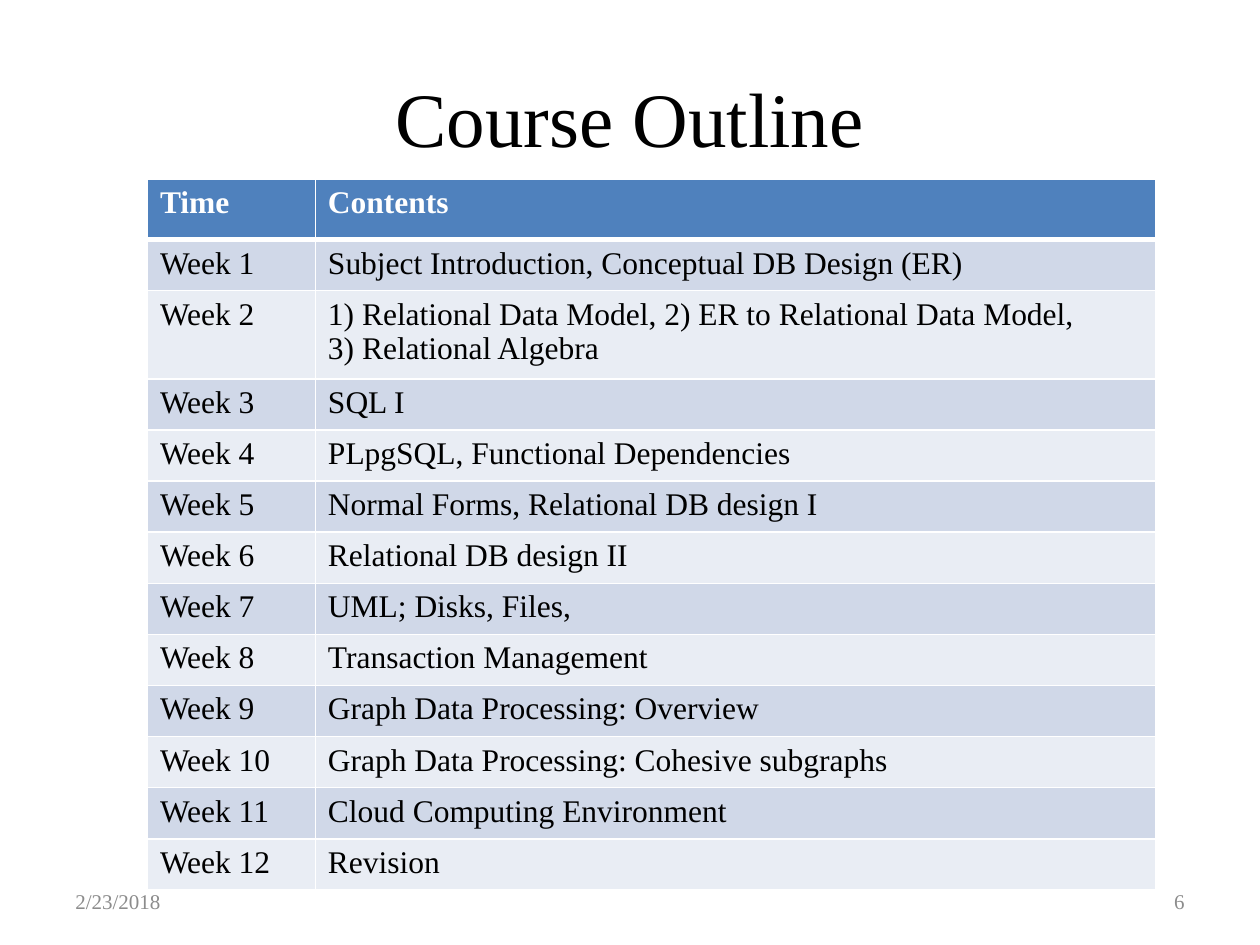
from lxml.etree import SubElement as Sub
from pptx import Presentation
from pptx.dml.color import RGBColor as Rgb
from pptx.enum.text import MSO_ANCHOR as Anchor, PP_ALIGN as Align
from pptx.oxml.ns import qn
from pptx.util import Inches, Pt

WIDE, HIGH = 10, 7.5
FACE = "Times New Roman"
HUES = {"ink": "000000", "white": "FFFFFF", "head": "4F81BD",
        "odd": "D0D8E8", "even": "E9EDF4", "gray": "8C8C8C"}
HEAD = ("Time", "Contents")
WEEKS = [
    "Subject Introduction, Conceptual DB Design (ER)",
    "1) Relational Data Model, 2) ER to Relational Data Model,\n3) Relational Algebra",
    "SQL I",
    "PLpgSQL, Functional Dependencies",
    "Normal Forms, Relational DB design I",
    "Relational DB design II",
    "UML; Disks, Files,",
    "Transaction Management",
    "Graph Data Processing: Overview",
    "Graph Data Processing: Cohesive subgraphs",
    "Cloud Computing Environment",
    "Revision",
]


def style(frame, size, hue, align=Align.LEFT, bold=False):
    for para in frame.paragraphs:
        para.alignment = align
        font = para.font
        font.name, font.size, font.bold = FACE, Pt(size), bold
        font.color.rgb = Rgb.from_string(HUES[hue])


def label(slide, box, text, size, hue, align):
    frame = slide.shapes.add_textbox(*map(Inches, box)).text_frame
    frame.word_wrap = True
    frame.vertical_anchor = Anchor.MIDDLE
    frame.text = text
    style(frame, size, hue, align)


def edge(cell, top, base):
    props = cell._tc.get_or_add_tcPr()
    sides = {"lnL": 1, "lnR": 1, "lnT": top, "lnB": base}
    for spot, (side, width) in enumerate(sides.items()):
        line = Sub(props, qn(f"a:{side}"), w=str(Pt(width)))
        Sub(Sub(line, qn("a:solidFill")), qn("a:srgbClr"), val=HUES["white"])
        props.insert(spot, line)


def outline(slide, box):
    rows = [HEAD] + [(f"Week {n}", text) for n, text in enumerate(WEEKS, 1)]
    grid = slide.shapes.add_table(len(rows), len(HEAD), *map(Inches, box)).table
    for col, share in zip(grid.columns, (1 / 6, 5 / 6)):
        col.width = Inches(box[2] * share)
    top = box[3] * 0.09
    step = (box[3] - top) / len(WEEKS)
    for r, texts in enumerate(rows):
        grid.rows[r].height = Inches(step if r else top)
        fill = ("even", "odd")[r % 2] if r else "head"
        for c, text in enumerate(texts):
            cell = grid.cell(r, c)
            cell.text = text
            cell.fill.solid()
            cell.fill.fore_color.rgb = Rgb.from_string(HUES[fill])
            style(cell.text_frame, 18, "ink" if r else "white", bold=not r)
            edge(cell, top=3 if r == 1 else 1, base=1 if r else 3)


def footer(slide, box, date, page):
    left, top, width, height = box
    part = width * 0.26
    label(slide, (left, top, part, height), date, 12, "gray", Align.LEFT)
    label(slide, (left + width - part, top, part, height), page, 12, "gray", Align.RIGHT)


def main():
    deck = Presentation()
    deck.slide_width, deck.slide_height = Inches(WIDE), Inches(HIGH)
    slide = deck.slides.add_slide(deck.slide_layouts[6])
    inset = WIDE * 0.05
    span = WIDE - 2 * inset
    label(slide, (inset, HIGH * 0.04, span, HIGH / 6),
          "Course Outline", 44, "ink", Align.CENTER)
    outline(slide, (1.17, 1.42, WIDE * 0.8, 5.35))
    footer(slide, (inset, 6.95, span, 0.4), "2/23/2018", "6")
    deck.save("out.pptx")


if __name__ == "__main__":
    main()
